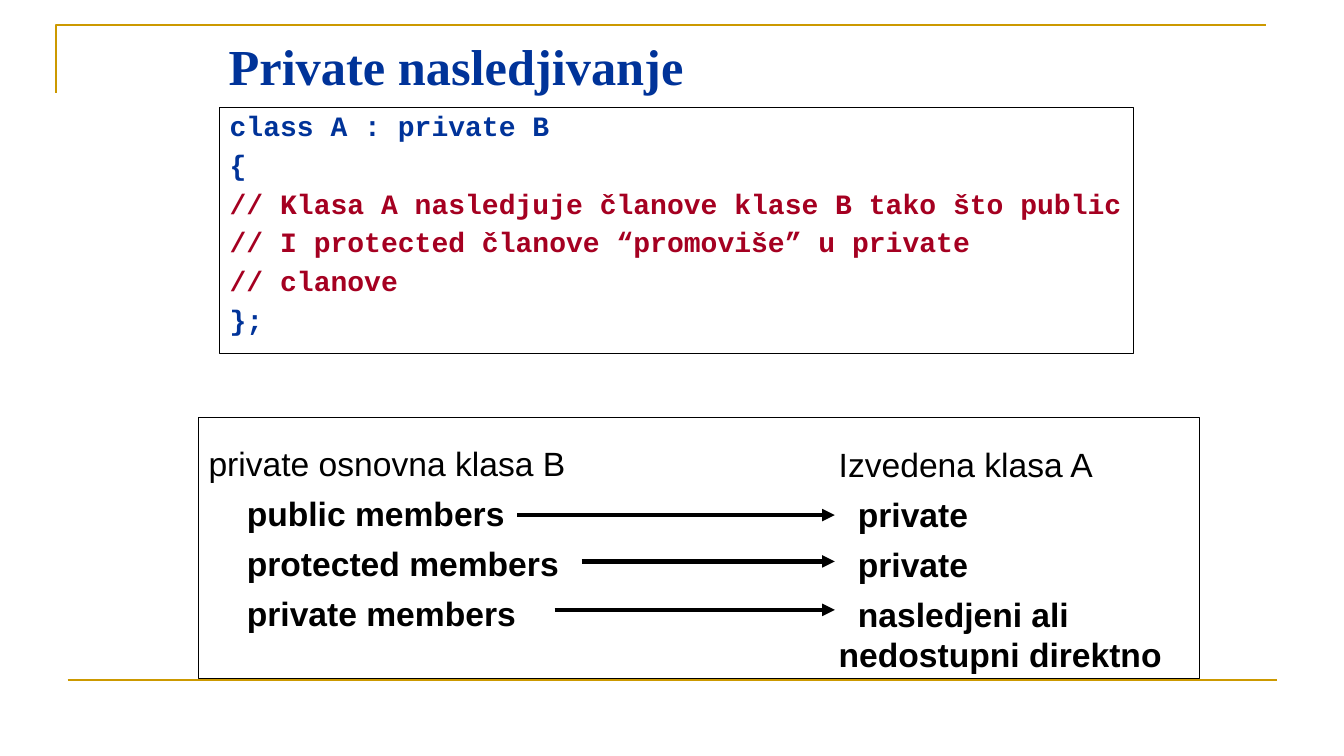
from dataclasses import dataclass
from lxml.etree import SubElement
from pptx import Presentation
from pptx.dml.color import RGBColor
from pptx.enum.shapes import MSO_CONNECTOR, MSO_SHAPE
from pptx.enum.text import MSO_ANCHOR, PP_ALIGN
from pptx.oxml.ns import qn
from pptx.util import Inches, Pt


@dataclass(frozen=True)
class Theme:
    gold: RGBColor = RGBColor(0xCC, 0x99, 0x00)
    blue: RGBColor = RGBColor(0x00, 0x33, 0x99)
    red: RGBColor = RGBColor(0xA5, 0x00, 0x21)
    black: RGBColor = RGBColor(0, 0, 0)
    title_size: Pt = Pt(36)
    body_size: Pt = Pt(24)
    code_size: Pt = Pt(20)


theme = Theme()
prs = Presentation()
prs.slide_width, prs.slide_height = Inches(13.33), Inches(7.5)
slide = prs.slides.add_slide(prs.slide_layouts[6])
shapes = slide.shapes


def write_lines(frame, lines, face, size, gap):
    """Fill a frame with (text, colour, bold) lines."""
    frame.word_wrap = True
    frame.vertical_anchor = MSO_ANCHOR.TOP
    for i, (text, colour, bold) in enumerate(lines):
        paragraph = frame.paragraphs[0] if i == 0 else frame.add_paragraph()
        paragraph.text = text
        paragraph.alignment = PP_ALIGN.LEFT
        paragraph.space_before = gap if i else Pt(0)
        font = paragraph.runs[0].font
        font.name, font.size, font.bold = face, size, bold
        font.color.rgb = colour


def draw_line(x1, y1, x2, y2, colour, width):
    line = shapes.add_connector(MSO_CONNECTOR.STRAIGHT, Inches(x1), Inches(y1), Inches(x2), Inches(y2))
    line.line.color.rgb = colour
    line.line.width = width
    SubElement(line._element.spPr, qn("a:effectLst"))
    return line


# Gold corner and bottom rule
builder = shapes.build_freeform(Inches(0.56), Inches(0.92), scale=1.0)
builder.add_line_segments([(Inches(0.56), Inches(0.25)), (Inches(12.56), Inches(0.25))], close=False)
corner = builder.convert_to_shape()
corner.fill.background()
corner.line.color.rgb = theme.gold
corner.line.width = Pt(1.5)
corner.shadow.inherit = False
draw_line(0.67, 6.75, 12.67, 6.75, theme.gold, Pt(1.5))

# Title
title = shapes.add_textbox(Inches(2.17), Inches(0.3), Inches(9), Inches(0.93))
write_lines(title.text_frame, [("Private nasledjivanje", theme.blue, True)],
            "Times New Roman", theme.title_size, Pt(0))

# Member columns: heading, then indented access levels
columns = [
    (1.97, 4.34, 4.21, "private osnovna klasa B",
     ["public members", "protected members", "private members"], {"marL": Inches(0.38)}),
    (8.22, 4.35, 3.41, "Izvedena klasa A",
     ["private", "private", "nasledjeni ali nedostupni direktno"], {"indent": Inches(0.19)}),
]
for left, top, width, heading, members, indents in columns:
    column = shapes.add_textbox(Inches(left), Inches(top), Inches(width), Inches(2.65))
    lines = [(heading, theme.black, False)] + [(member, theme.black, True) for member in members]
    write_lines(column.text_frame, lines, "Arial", theme.body_size, Pt(7))
    for paragraph in column.text_frame.paragraphs[1:]:
        for key, value in indents.items():
            paragraph._p.get_or_add_pPr().set(key, str(value))

# Arrows from base members to derived access
for start, y in [(5.13, 5.11), (5.77, 5.57), (5.5, 6.05)]:
    arrow = draw_line(start, y, 8.28, y, theme.black, Pt(3))
    SubElement(arrow.line._get_or_add_ln(), qn("a:tailEnd"), type="triangle")

# Code box and the frame around the columns
frames = []
for left, top, width, height, weight in [(2.18, 1.07, 9.06, 2.44, 0.75), (1.97, 4.14, 9.93, 2.59, 1)]:
    frame = shapes.add_shape(MSO_SHAPE.RECTANGLE, Inches(left), Inches(top), Inches(width), Inches(height))
    frame.fill.background()
    frame.line.color.rgb = theme.black
    frame.line.width = Pt(weight)
    frame.shadow.inherit = False
    frames.append(frame)

code_box = frames[0]
code = [
    ("class A : private B", theme.blue, True),
    ("{", theme.blue, True),
    ("// Klasa A nasledjuje članove klase B tako što public", theme.red, True),
    ("// I protected članove “promoviše” u private", theme.red, True),
    ("// clanove", theme.red, True),
    ("};", theme.blue, True),
]
write_lines(code_box.text_frame, code, "Courier New", theme.code_size, Pt(6))
for paragraph in code_box.text_frame.paragraphs:
    paragraph.line_spacing = 0.9

prs.save("out.pptx")
